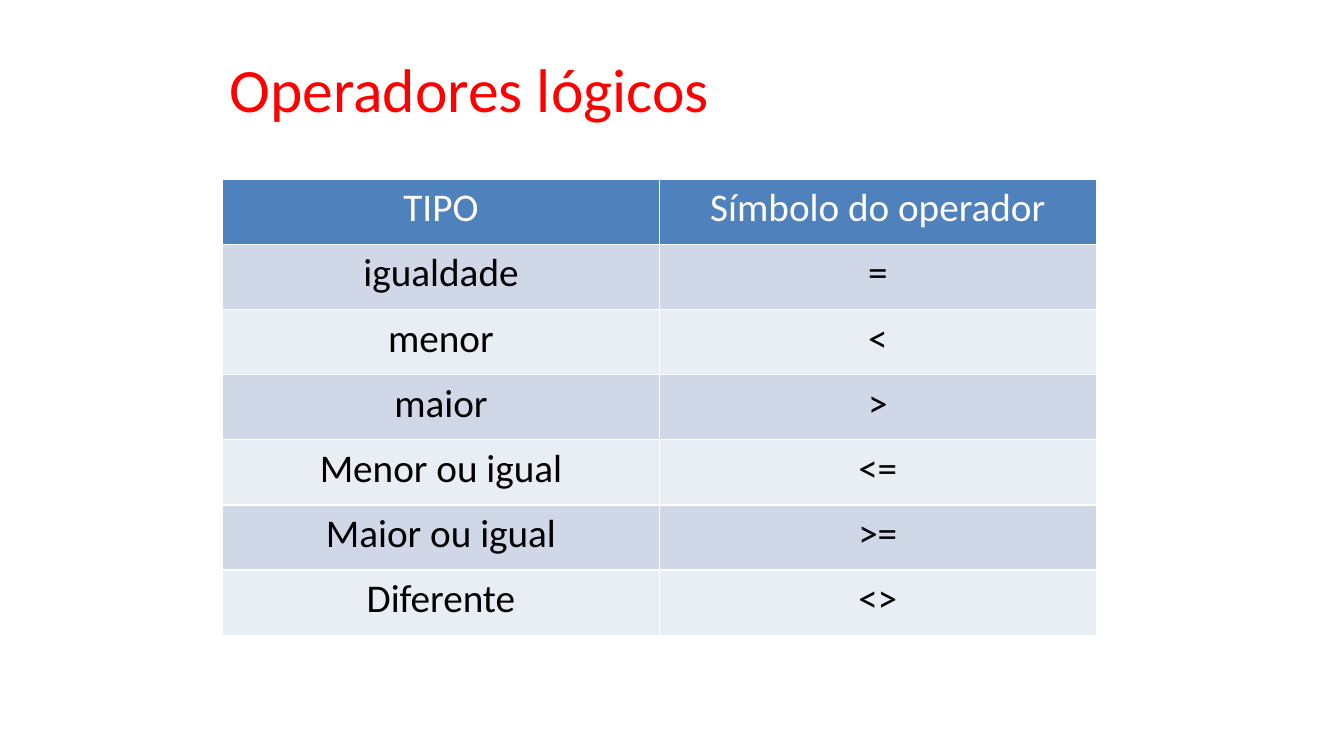
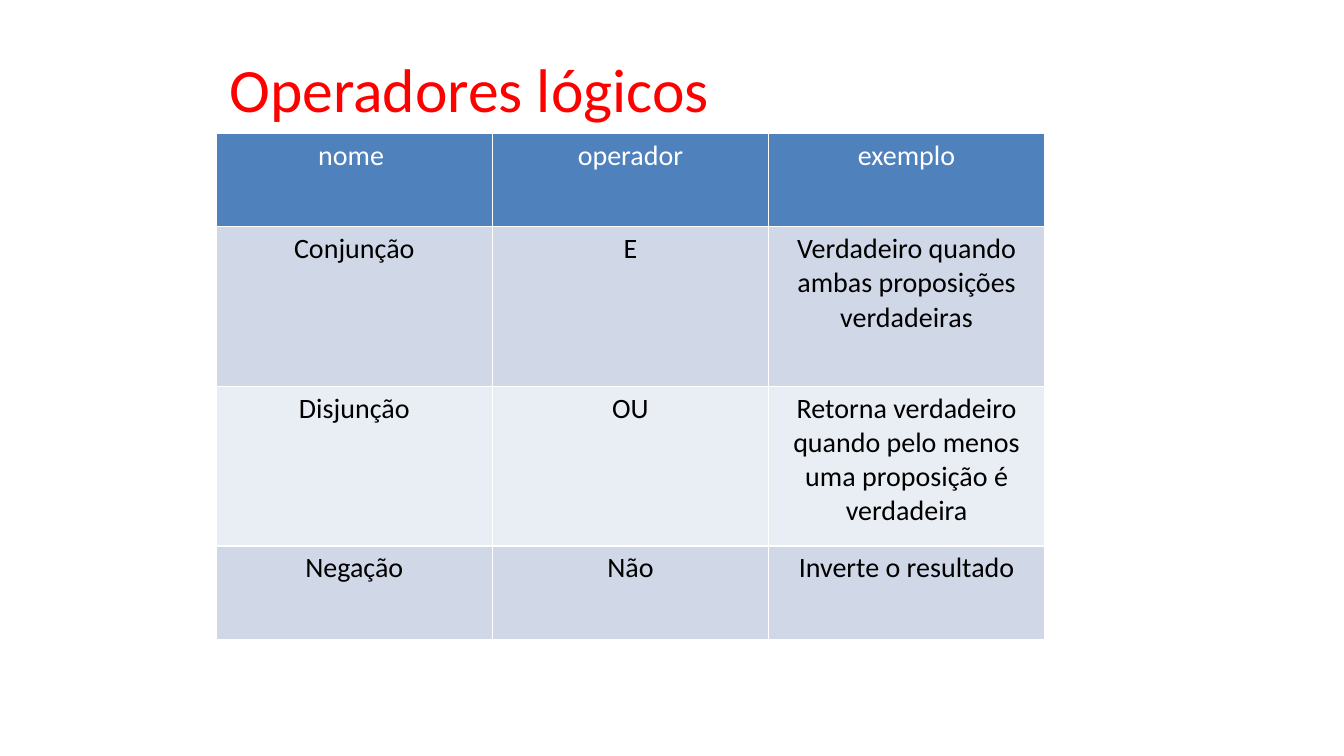
import pptx
import pptx.dml.color
import pptx.enum.text
import pptx.util

PX = 9525
FONT = "Calibri"
RED = pptx.dml.color.RGBColor(0xFF, 0x00, 0x00)
WHITE = pptx.dml.color.RGBColor(0xFF, 0xFF, 0xFF)
BLACK = pptx.dml.color.RGBColor(0x00, 0x00, 0x00)
HEADER_BLUE = pptx.dml.color.RGBColor(0x4F, 0x81, 0xBD)
BAND_DARK = pptx.dml.color.RGBColor(0xD0, 0xD8, 0xE8)
BAND_LIGHT = pptx.dml.color.RGBColor(0xE9, 0xED, 0xF4)

TITLE = "Operadores lógicos"
TITLE_BOX = (209, 24, 734, 120)

COMPARISONS = [
    ("TIPO", "Símbolo do operador"),
    ("igualdade", "="),
    ("menor", "<"),
    ("maior", ">"),
    ("Menor ou igual", "<="),
    ("Maior ou igual", ">="),
    ("Diferente", "<>"),
]
CONNECTIVES = [
    ("nome ", "operador", "exemplo"),
    ("Conjunção", "E", "Verdadeiro quando ambas proposições verdadeiras"),
    ("Disjunção", "OU",
     "Retorna verdadeiro quando pelo menos uma proposição é verdadeira"),
    ("Negação", "Não", "Inverte o resultado"),
]


def px(length):
    return pptx.util.Emu(length * PX)


def style_font(paragraph, size, color):
    font = paragraph.font
    font.name = FONT
    font.size = pptx.util.Pt(size)
    font.bold = False
    font.color.rgb = color


def add_title(slide, box):
    frame = slide.shapes.add_textbox(*map(px, box)).text_frame
    frame.word_wrap = True
    frame.vertical_anchor = pptx.enum.text.MSO_ANCHOR.MIDDLE
    heading = frame.paragraphs[0]
    heading.text = TITLE
    style_font(heading, 44, RED)


def add_operator_table(slide, left, top, column_width, row_heights, entries, size):
    column_count = len(entries[0])
    operators = slide.shapes.add_table(
        len(entries), column_count, px(left), px(top),
        px(column_width * column_count), px(sum(row_heights))).table
    for column in operators.columns:
        column.width = px(column_width)
    for index, (height, entry) in enumerate(zip(row_heights, entries)):
        operators.rows[index].height = px(height)
        if index == 0:
            fill, color = HEADER_BLUE, WHITE
        else:
            fill, color = (BAND_DARK if index % 2 else BAND_LIGHT), BLACK
        for cell, text in zip(operators.rows[index].cells, entry):
            cell.fill.solid()
            cell.fill.fore_color.rgb = fill
            label = cell.text_frame.paragraphs[0]
            label.text = text
            label.alignment = pptx.enum.text.PP_ALIGN.CENTER
            style_font(label, size, color)


def add_operator_slide(deck, **table_layout):
    slide = deck.slides.add_slide(deck.slide_layouts[6])
    add_title(slide, TITLE_BOX)
    add_operator_table(slide, **table_layout)


def main():
    deck = pptx.Presentation()
    deck.slide_width, deck.slide_height = px(1280), px(720)
    add_operator_slide(deck, left=212, top=171, column_width=416,
                       row_heights=[62] * len(COMPARISONS),
                       entries=COMPARISONS, size=28)
    add_operator_slide(deck, left=206, top=127, column_width=263,
                       row_heights=[89, 152, 152, 89],
                       entries=CONNECTIVES, size=20)
    deck.save("out.pptx")


if __name__ == "__main__":
    main()
